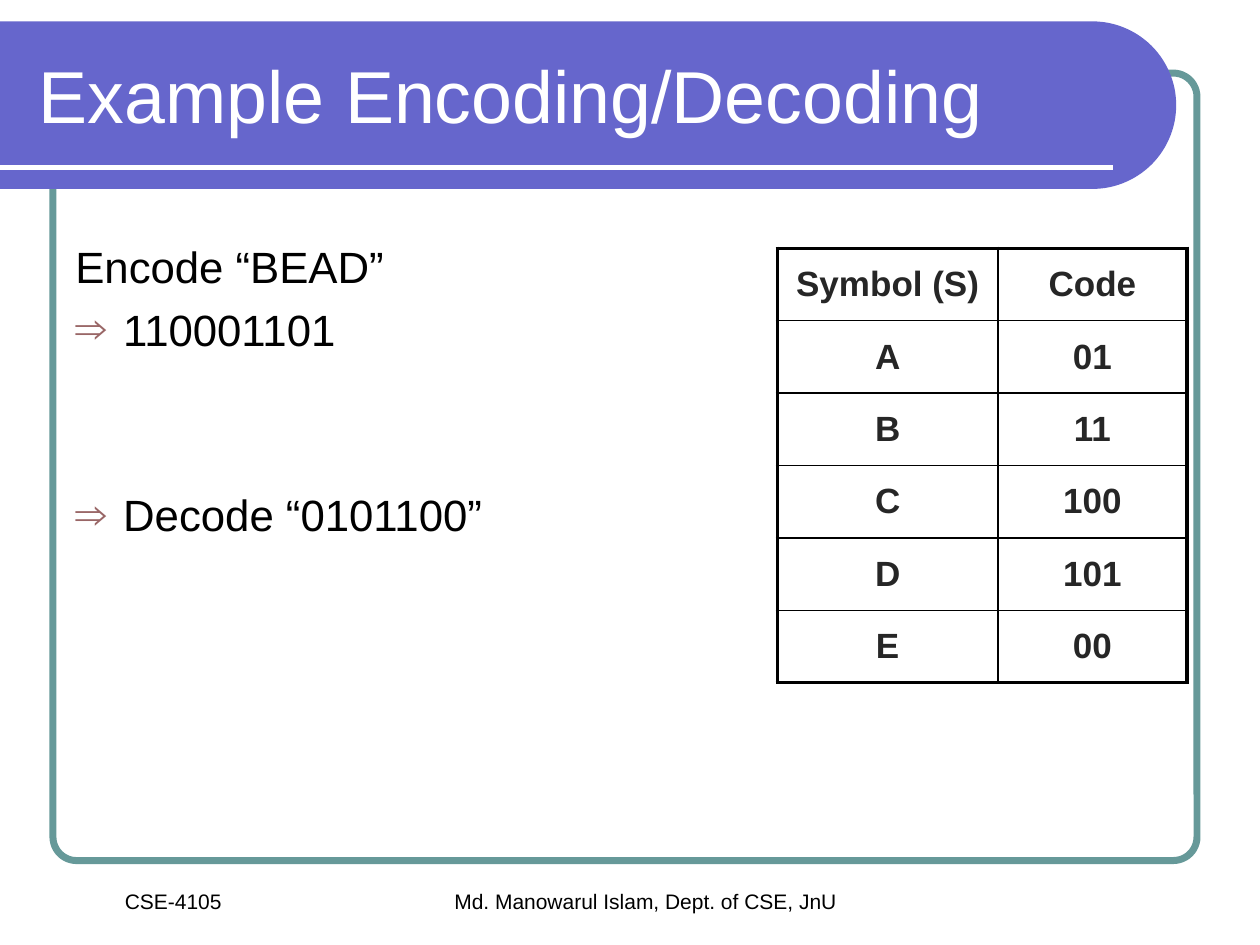
from math import cos, pi, sin
from typing import NamedTuple

from lxml import etree
from pptx import Presentation
from pptx.dml.color import RGBColor
from pptx.enum.shapes import MSO_CONNECTOR, MSO_SHAPE
from pptx.enum.text import MSO_ANCHOR, PP_ALIGN
from pptx.oxml.ns import qn
from pptx.util import Inches, Pt

LEFT, CENTER = PP_ALIGN.LEFT, PP_ALIGN.CENTER
TOP, MIDDLE = MSO_ANCHOR.TOP, MSO_ANCHOR.MIDDLE
FONT = "Arial"
COLORS = {
    "frame": "669999",
    "band": "6666CC",
    "white": "FFFFFF",
    "black": "000000",
    "bullet": "996666",
    "cell": "262626",
}


class Label(NamedTuple):
    text: str
    left: float
    top: float
    width: float
    height: float
    size: float
    color: str = "black"
    align: PP_ALIGN = CENTER
    anchor: MSO_ANCHOR = TOP


class BodyLine(NamedTuple):
    text: str
    space_before: float = 0
    bullet: str = ""


LABELS = [
    Label("Md. Manowarul Islam, Dept. of CSE, JnU", 1.75, 7, 6.75, 0.3, 12),
    Label("CSE-4105", 0.25, 7, 2.25, 0.3, 12),
    Label("Example Encoding/Decoding", 0.21, 0.25, 8.77, 1, 42, "white", LEFT, MIDDLE),
]
BODY = [
    BodyLine("Encode “BEAD”"),
    BodyLine("110001101", 6, "⇒"),
    BodyLine("Decode “0101100”", 76, "⇒"),
]
CODES = [
    ("Symbol (S)", "Code"),
    ("A", "01"),
    ("B", "11"),
    ("C", "100"),
    ("D", "101"),
    ("E", "00"),
]
COLUMN_WIDTHS = (1.75, 1.5)
ROW_HEIGHT = 0.575


def rgb(name: str) -> RGBColor:
    return RGBColor.from_string(COLORS[name])


def set_font(para, size: float, color: str, bold: bool = False) -> None:
    para.font.name = FONT
    para.font.size = Pt(size)
    para.font.bold = bold
    para.font.color.rgb = rgb(color)


def add_frame(page) -> None:
    frame = page.shapes.add_shape(
        MSO_SHAPE.ROUNDED_RECTANGLE, Inches(0.42), Inches(0.58), Inches(9.08), Inches(6.25))
    frame.adjustments[0] = 0.03
    frame.shadow.inherit = False
    frame.fill.background()
    frame.line.color.rgb = rgb("frame")
    frame.line.width = Pt(4)


def add_band(page) -> None:
    top, radius, center_x, steps = 0.17, 0.665, 8.67, 60
    angles = [pi * step / steps - pi / 2 for step in range(steps + 1)]
    arc = [(Inches(center_x + radius * cos(angle)), Inches(top + radius + radius * sin(angle)))
           for angle in angles]
    builder = page.shapes.build_freeform(0, Inches(top))
    builder.add_line_segments(arc + [(0, Inches(top + 2 * radius))], close=True)
    band = builder.convert_to_shape()
    band.shadow.inherit = False
    band.fill.solid()
    band.fill.fore_color.rgb = rgb("band")
    band.line.fill.background()


def add_rule(page) -> None:
    rule = page.shapes.add_connector(
        MSO_CONNECTOR.STRAIGHT, 0, Inches(1.33), Inches(8.83), Inches(1.33))
    rule.line.color.rgb = rgb("white")
    rule.line.width = Pt(3)
    etree.SubElement(rule._element.spPr, qn("a:effectLst"))


def add_label(page, label: Label) -> None:
    box = page.shapes.add_textbox(
        Inches(label.left), Inches(label.top), Inches(label.width), Inches(label.height))
    box.text_frame.word_wrap = True
    box.text_frame.vertical_anchor = label.anchor
    para = box.text_frame.paragraphs[0]
    para.text = label.text
    para.alignment = label.align
    set_font(para, label.size, label.color)


def add_bullet(para, mark: str) -> None:
    props = para._p.get_or_add_pPr()
    color = etree.SubElement(props, qn("a:buClr"))
    etree.SubElement(color, qn("a:srgbClr"), val=COLORS["bullet"])
    etree.SubElement(props, qn("a:buFont"), typeface=FONT)
    etree.SubElement(props, qn("a:buChar"), char=mark)


def add_body(page, lines: list[BodyLine]) -> None:
    box = page.shapes.add_textbox(Inches(0.5), Inches(1.85), Inches(4.67), Inches(4.85))
    frame = box.text_frame
    frame.word_wrap = True
    for index, line in enumerate(lines):
        para = frame.add_paragraph() if index else frame.paragraphs[0]
        para.text = line.text
        para.space_before = Pt(line.space_before)
        props = para._p.get_or_add_pPr()
        props.set("marL", str(Inches(0.38)))
        props.set("indent", str(-Inches(0.38)))
        if line.bullet:
            add_bullet(para, line.bullet)
        set_font(para, 25, "black")


def add_border(cell, side: str, width: float) -> None:
    border = etree.SubElement(
        cell._tc.get_or_add_tcPr(), qn(f"a:ln{side}"), w=str(Pt(width)))
    fill = etree.SubElement(border, qn("a:solidFill"))
    etree.SubElement(fill, qn("a:srgbClr"), val=COLORS["black"])


def add_code_table(page, rows: list[tuple[str, str]]) -> None:
    last_row, last_column = len(rows) - 1, len(COLUMN_WIDTHS) - 1
    table = page.shapes.add_table(
        len(rows), len(COLUMN_WIDTHS), Inches(6.17), Inches(1.97),
        Inches(sum(COLUMN_WIDTHS)), Inches(ROW_HEIGHT * len(rows))).table
    table.first_row = table.horz_banding = False
    for column, width in zip(table.columns, COLUMN_WIDTHS):
        column.width = Inches(width)
    for r, values in enumerate(rows):
        table.rows[r].height = Inches(ROW_HEIGHT)
        for c, value in enumerate(values):
            cell = table.cell(r, c)
            cell.vertical_anchor = MIDDLE
            # Thick outer edges, thin inner ones
            outer = {"L": c == 0, "R": c == last_column, "T": r == 0, "B": r == last_row}
            for side, is_outer in outer.items():
                add_border(cell, side, 2.25 if is_outer else 1)
            cell.fill.background()
            para = cell.text_frame.paragraphs[0]
            para.text = value
            para.alignment = CENTER
            set_font(para, 20, "cell", bold=True)


def main() -> None:
    deck = Presentation()
    deck.slide_width, deck.slide_height = Inches(10), Inches(7.5)
    page = deck.slides.add_slide(deck.slide_layouts[6])

    # Background decoration
    add_frame(page)
    add_band(page)
    add_rule(page)

    # Footers and title
    for label in LABELS:
        add_label(page, label)

    # Content
    add_body(page, BODY)
    add_code_table(page, CODES)

    deck.save("out.pptx")


if __name__ == "__main__":
    main()
